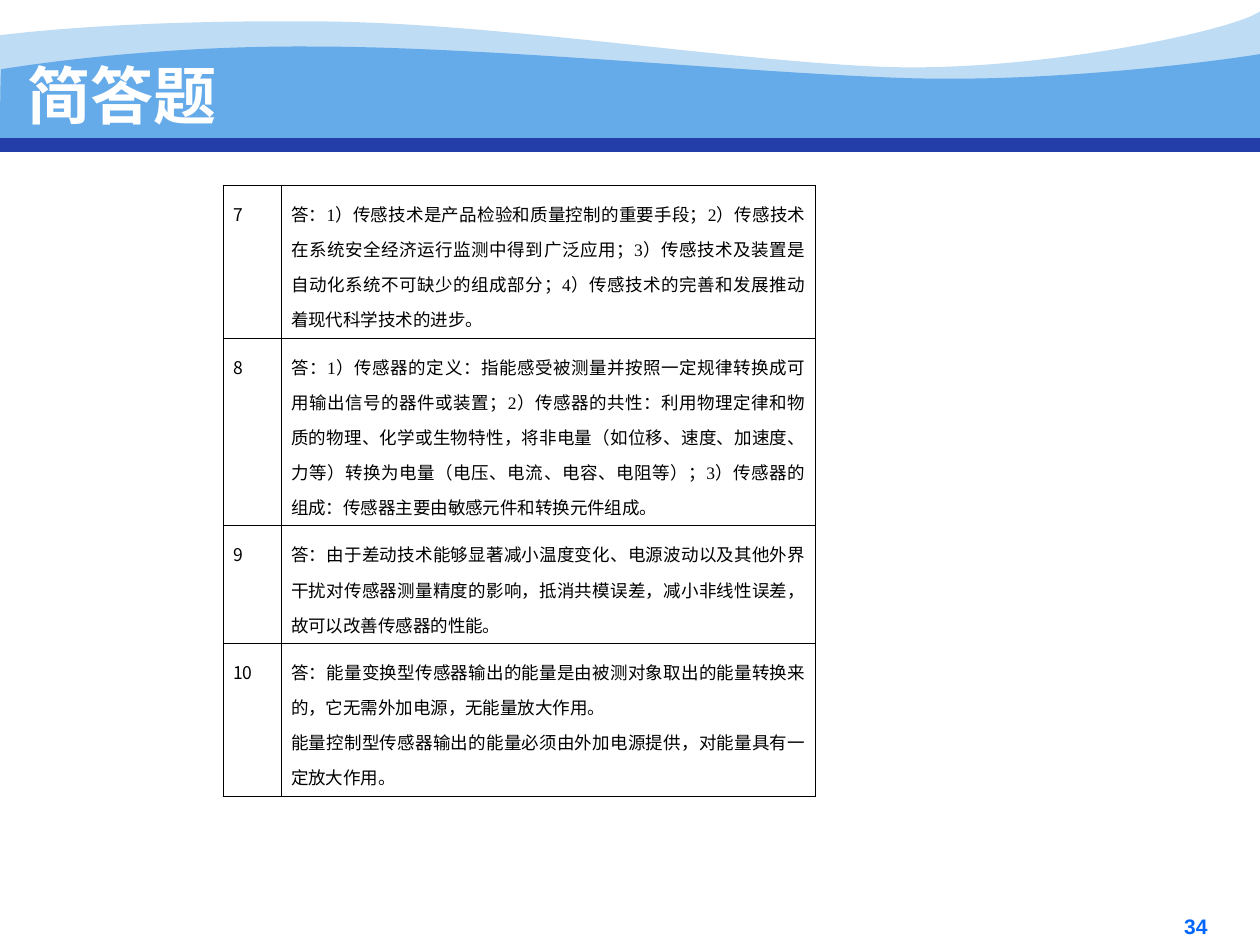
from lxml.etree import SubElement
from pptx import Presentation
from pptx.dml.color import RGBColor
from pptx.enum.shapes import MSO_CONNECTOR, MSO_SHAPE
from pptx.enum.text import MSO_ANCHOR, PP_ALIGN
from pptx.oxml.ns import qn
from pptx.util import Inches, Pt

ASIAN_FONT = "Noto Sans CJK SC"
SKY, NAVY, WHITE, BLACK, BLUE = "65AAE9", "233DA9", "FFFFFF", "000000", "0066FF"
TITLE = "简答题"
PAGE_NUMBER = "34"
ANSWERS = [
    ("7", ["答：1）传感技术是产品检验和质量控制的重要手段；2）传感技术在系统安全经济运行监测中得到广泛应用；"
           "3）传感技术及装置是自动化系统不可缺少的组成部分；4）传感技术的完善和发展推动着现代科学技术的进步。"]),
    ("8", ["答：1）传感器的定义：指能感受被测量并按照一定规律转换成可用输出信号的器件或装置；"
           "2）传感器的共性：利用物理定律和物质的物理、化学或生物特性，将非电量（如位移、速度、加速度、力等）"
           "转换为电量（电压、电流、电容、电阻等）；3）传感器的组成：传感器主要由敏感元件和转换元件组成。"]),
    ("9", ["答：由于差动技术能够显著减小温度变化、电源波动以及其他外界干扰对传感器测量精度的影响，"
           "抵消共模误差，减小非线性误差，故可以改善传感器的性能。"]),
    ("10", ["答：能量变换型传感器输出的能量是由被测对象取出的能量转换来的，它无需外加电源，无能量放大作用。",
            "能量控制型传感器输出的能量必须由外加电源提供，对能量具有一定放大作用。"]),
]
COLUMN_WIDTHS = [0.46, 4.24]
ROW_HEIGHTS = [1.11, 1.39, 0.83, 1.11]
PALE_WAVE = [
    (0, 0.28), (0.24, 0.25, 1.07, 0.16, 2.47, 0.17), (3.86, 0.17, 5.75, 0.48, 6.99, 0.53),
    (8.22, 0.58, 9.8, 0.24, 10, 0.09), (10, 1.43), (8.58, 1.61, 7.87, 1.55, 7.05, 1.53),
    (6.22, 1.51, 5.15, 1.29, 3.43, 1.26), (1.72, 1.22, 0.04, 1.77, 0.01, 1.81),
    (-0.01, 1.86, 0, 0.53, 0, 0.28),
]
DEEP_WAVE = [
    (0.01, 0.55), (0.02, 0.55, 1.1, 0.36, 2.48, 0.37), (3.86, 0.37, 5.95, 0.58, 7.18, 0.62),
    (8.41, 0.66, 9.76, 0.47, 10, 0.43), (10, 1.33), (8.53, 1.46, 7.65, 1.43, 6.82, 1.39),
    (5.99, 1.36, 4.47, 1.14, 3.17, 1.15), (2.03, 1.15, -0.02, 1.44, -0.01, 1.44),
    (0, 1.44, 0, 0.55, 0.01, 0.55),
]


def color(value):
    """Turn a hex string into a colour."""
    return RGBColor.from_string(value)


def paint(shape, fill):
    """Give a shape a plain fill without line or shadow."""
    shape.shadow.inherit = False
    shape.fill.solid()
    shape.fill.fore_color.rgb = color(fill)
    shape.line.fill.background()


def add_wave(slide, segments, opacity=100):
    """Draw a filled wave whose six-number segments are cubic curves."""
    points = [(Inches(segment[i]), Inches(segment[i + 1]))
              for segment in segments for i in range(0, len(segment), 2)]
    builder = slide.shapes.build_freeform(*points[0])
    builder.add_line_segments(points[1:], close=True)
    shape = builder.convert_to_shape()
    lines = iter(list(shape._element.iter(qn("a:lnTo"))))
    for segment in segments[1:]:
        line = next(lines)
        if len(segment) == 6:
            line.tag = qn("a:cubicBezTo")
            for follower in (next(lines), next(lines)):
                line.append(follower[0])
                follower.getparent().remove(follower)
    paint(shape, SKY)
    if opacity < 100:
        fill = shape._element.spPr.find(qn("a:solidFill"))
        SubElement(fill[0], qn("a:alpha"), val=str(opacity * 1000))


def style(paragraph, size, font_name, font_color, bold=False):
    """Set the font of a whole paragraph."""
    font = paragraph.font
    font.size, font.name, font.bold = Pt(size), font_name, bold
    font.color.rgb = color(font_color)
    properties = paragraph._p.pPr.find(qn("a:defRPr"))
    SubElement(properties, qn("a:ea"), typeface=ASIAN_FONT)


def add_label(slide, text, box, wrap, anchor, *font):
    """Place one line of text."""
    frame = slide.shapes.add_textbox(*map(Inches, box)).text_frame
    frame.word_wrap = wrap
    frame.vertical_anchor = anchor
    frame.text = text
    style(frame.paragraphs[0], *font)


def fill_cell(cell, texts, font_name):
    """Write the paragraphs of a cell and outline it."""
    cell.margin_left = cell.margin_right = Inches(0.08)
    cell.margin_top = cell.margin_bottom = Inches(0.05)
    cell.text = "\n".join(texts)
    for paragraph in cell.text_frame.paragraphs:
        paragraph.alignment = PP_ALIGN.JUSTIFY
        paragraph.line_spacing = Pt(20)
        style(paragraph, 10, font_name, BLACK)
    properties = cell._tc.get_or_add_tcPr()
    for side in ("lnL", "lnR", "lnT", "lnB"):
        border = SubElement(properties, qn(f"a:{side}"), w=str(Pt(0.45)))
        SubElement(SubElement(border, qn("a:solidFill")), qn("a:srgbClr"), val=BLACK)
    cell.fill.background()


def add_answers(slide):
    """Build the table of answers."""
    frame = slide.shapes.add_table(
        len(ANSWERS), len(COLUMN_WIDTHS), Inches(1.77), Inches(1.47),
        Inches(sum(COLUMN_WIDTHS)), Inches(sum(ROW_HEIGHTS)))
    table = frame.table
    table.first_row = table.horz_banding = False
    for column, width in zip(table.columns, COLUMN_WIDTHS):
        column.width = Inches(width)
    for row, height, (number, answer) in zip(table.rows, ROW_HEIGHTS, ANSWERS):
        row.height = Inches(height)
        fill_cell(row.cells[0], [number], ASIAN_FONT)
        fill_cell(row.cells[1], answer, "Times New Roman")


def main():
    """Build and save the slide."""
    presentation = Presentation()
    presentation.slide_width, presentation.slide_height = Inches(10), Inches(7.5)
    slide = presentation.slides.add_slide(presentation.slide_layouts[6])
    add_wave(slide, PALE_WAVE, opacity=41)
    add_wave(slide, DEEP_WAVE)
    cover = slide.shapes.add_shape(MSO_SHAPE.RECTANGLE, 0, Inches(1.15), Inches(10), Inches(0.71))
    paint(cover, WHITE)
    rule = slide.shapes.add_connector(MSO_CONNECTOR.STRAIGHT, 0, Inches(1.15), Inches(10), Inches(1.15))
    rule.line.color.rgb = color(NAVY)
    rule.line.width = Pt(8)
    SubElement(rule._element.spPr, qn("a:effectLst"))
    add_label(slide, PAGE_NUMBER, (9.3, 7.2, 1.01, 0.3), False, MSO_ANCHOR.TOP, 12, "Arial", BLUE, True)
    add_label(slide, TITLE, (0.12, 0.44, 6.46, 0.62), True, MSO_ANCHOR.MIDDLE, 36, "Noto Sans Mono", WHITE, True)
    add_answers(slide)
    presentation.save("out.pptx")


if __name__ == "__main__":
    main()
